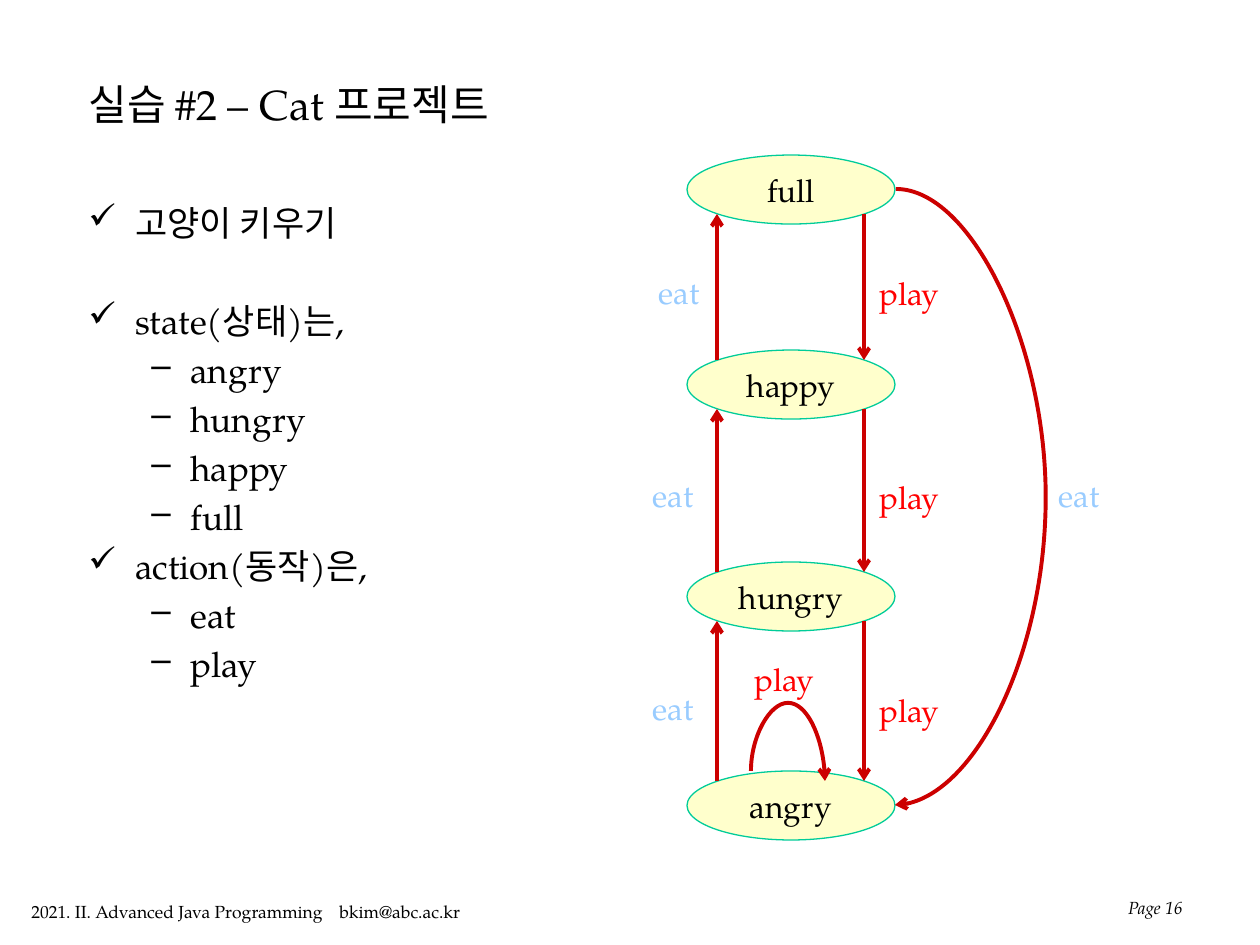
from dataclasses import dataclass
from itertools import pairwise

from lxml import etree
from pptx import Presentation
from pptx import util as u
from pptx.dml.color import RGBColor
from pptx.enum import shapes, text
from pptx.oxml.ns import qn

SCALE = 914400 / 126


@dataclass(frozen=True)
class Theme:
    font: str = "TeX Gyre Pagella"
    ink: str = "000000"
    state_fill: str = "FFFFCC"
    state_line: str = "00CC99"
    arrow: str = "CC0000"
    eat: str = "99CCFF"
    play: str = "FF0000"
    title_size: int = 24
    body_size: int = 20
    diagram_size: int = 18
    footer_size: int = 10


THEME = Theme()
STATE_LEFT, STATE_WIDTH, STATE_HEIGHT = 687, 208, 69
STATES = {"full": 155, "happy": 350, "hungry": 562, "angry": 771}
EAT_X, PLAY_X = 717, 864
RIM = 10  # drop of the ellipse's edge where the vertical arrows meet it
LABELS = [
    ("eat", 646, 267), ("eat", 640, 470), ("eat", 640, 683), ("eat", 1046, 470),
    ("play", 867, 268), ("play", 867, 472), ("play", 867, 685), ("play", 742, 654),
]
OUTLINE = [
    ("고양이 키우기", []),
    ("state(상태)는,", ["angry", "hungry", "happy", "full"]),
    ("action(동작)은,", ["eat", "play"]),
]


def px(length):
    return u.Emu(round(length * SCALE))


def style(paragraph, size, color=THEME.ink, align=text.PP_ALIGN.LEFT, italic=False):
    paragraph.alignment = align
    for run in paragraph.runs:
        run.font.name = THEME.font
        run.font.size = u.Pt(size)
        run.font.italic = italic
        run.font.color.rgb = RGBColor.from_string(color)


def add_text(slide, box, words, size, wrap=False, **look):
    frame = slide.shapes.add_textbox(*map(px, box)).text_frame
    frame.word_wrap = wrap
    frame.text = words
    style(frame.paragraphs[0], size, **look)
    return frame


def add_title(slide, words):
    title = slide.shapes.title
    title.left, title.top, title.width, title.height = map(px, (76, 45, 963, 118))
    frame = title.text_frame
    frame.text = words
    frame.vertical_anchor = text.MSO_ANCHOR.MIDDLE
    style(frame.paragraphs[0], THEME.title_size)


def add_bullet(paragraph, mark, left, hanging):
    props = paragraph._p.get_or_add_pPr()
    props.set("marL", str(px(left)))
    props.set("indent", str(-px(hanging)))
    etree.SubElement(props, qn("a:buChar")).set("char", mark)


def add_outline(slide):
    frame = slide.shapes.add_textbox(*map(px, (76, 195, 540, 674))).text_frame
    frame.word_wrap = True
    paragraph = frame.paragraphs[0]
    for number, (heading, items) in enumerate(OUTLINE):
        if number:
            paragraph = frame.add_paragraph()
        paragraph.text = heading
        paragraph.space_before = u.Pt(32 if number == 1 else 4)
        add_bullet(paragraph, "✓", 47, 47)
        style(paragraph, THEME.body_size)
        for item in items:
            entry = frame.add_paragraph()
            entry.text = item
            entry.level = 1
            entry.space_before = u.Pt(4)
            add_bullet(entry, "–", 102, 39)
            style(entry, THEME.body_size)


def add_state(slide, name, top):
    state = slide.shapes.add_shape(
        shapes.MSO_SHAPE.OVAL, *map(px, (STATE_LEFT, top, STATE_WIDTH, STATE_HEIGHT)))
    state.shadow.inherit = False
    state.fill.solid()
    state.fill.fore_color.rgb = RGBColor.from_string(THEME.state_fill)
    state.line.color.rgb = RGBColor.from_string(THEME.state_line)
    state.line.width = u.Pt(0.75)
    frame = state.text_frame
    frame.word_wrap = False
    frame.vertical_anchor = text.MSO_ANCHOR.TOP
    frame.text = name
    style(frame.paragraphs[0], THEME.diagram_size, align=text.PP_ALIGN.CENTER)


def add_arrow(slide, start, end, kind=shapes.MSO_CONNECTOR.STRAIGHT):
    arrow = slide.shapes.add_connector(kind, *map(px, (*start, *end)))
    arrow.line.color.rgb = RGBColor.from_string(THEME.arrow)
    arrow.line.width = u.Pt(2.25)
    etree.SubElement(arrow.line._get_or_add_ln(), qn("a:tailEnd")).set("type", "arrow")
    etree.SubElement(arrow._element.spPr, qn("a:effectLst"))
    return arrow


def add_loop(slide, start, end, bulge):
    """Curved arrow that bows out behind its start by bulge times its own width."""
    loop = add_arrow(slide, start, end, shapes.MSO_CONNECTOR.CURVE)
    geometry = loop._element.spPr.find(qn("a:prstGeom"))
    adjustments = geometry.find(qn("a:avLst"))
    if adjustments is None:
        adjustments = etree.SubElement(geometry, qn("a:avLst"))
    guide = etree.SubElement(adjustments, qn("a:gd"))
    guide.set("name", "adj1")
    guide.set("fmla", f"val {round(-bulge * 100000)}")
    return loop


def add_transitions(slide):
    for upper, lower in pairwise(STATES.values()):
        upper_edge, lower_edge = upper + STATE_HEIGHT - RIM, lower + RIM
        add_arrow(slide, (EAT_X, lower_edge), (EAT_X, upper_edge))
        add_arrow(slide, (PLAY_X, upper_edge), (PLAY_X, lower_edge))

    right = STATE_LEFT + STATE_WIDTH
    middle = STATE_HEIGHT // 2
    add_loop(slide, (right + 1, STATES["full"] + middle),
             (right, STATES["angry"] + middle), 151)
    # Lies on its side before the quarter turn that makes it bow upwards
    play_again = add_loop(slide, (793, 739), (783, 813), 6.8)
    play_again.rotation = 270 if hasattr(play_again, "rotation") else 0
    play_again._element.spPr.find(qn("a:xfrm")).set("rot", str(270 * 60000))

    for action, left, top in LABELS:
        width, color = (67, THEME.eat) if action == "eat" else (87, THEME.play)
        add_text(slide, (left, top, width, 50), action, THEME.diagram_size, color=color)


def add_footer(slide):
    course = add_text(slide, (19, 895, 464, 34),
                      "2021. II. Advanced Java Programming\tbkim@abc.ac.kr",
                      THEME.footer_size)
    stops = etree.SubElement(course.paragraphs[0]._p.get_or_add_pPr(), qn("a:tabLst"))
    stop = etree.SubElement(stops, qn("a:tab"))
    stop.set("pos", str(px(308)))
    stop.set("algn", "l")
    page = add_text(slide, (966, 861, 229, 63), "Page 16", THEME.footer_size,
                    wrap=True, align=text.PP_ALIGN.RIGHT, italic=True)
    page.vertical_anchor = text.MSO_ANCHOR.BOTTOM


def main():
    deck = Presentation()
    deck.slide_width, deck.slide_height = px(1260), px(945)
    slide = deck.slides.add_slide(deck.slide_layouts[5])
    add_title(slide, "실습 #2 – Cat 프로젝트")
    add_outline(slide)
    for name, top in STATES.items():
        add_state(slide, name, top)
    add_transitions(slide)
    add_footer(slide)
    deck.save("out.pptx")


if __name__ == "__main__":
    main()
